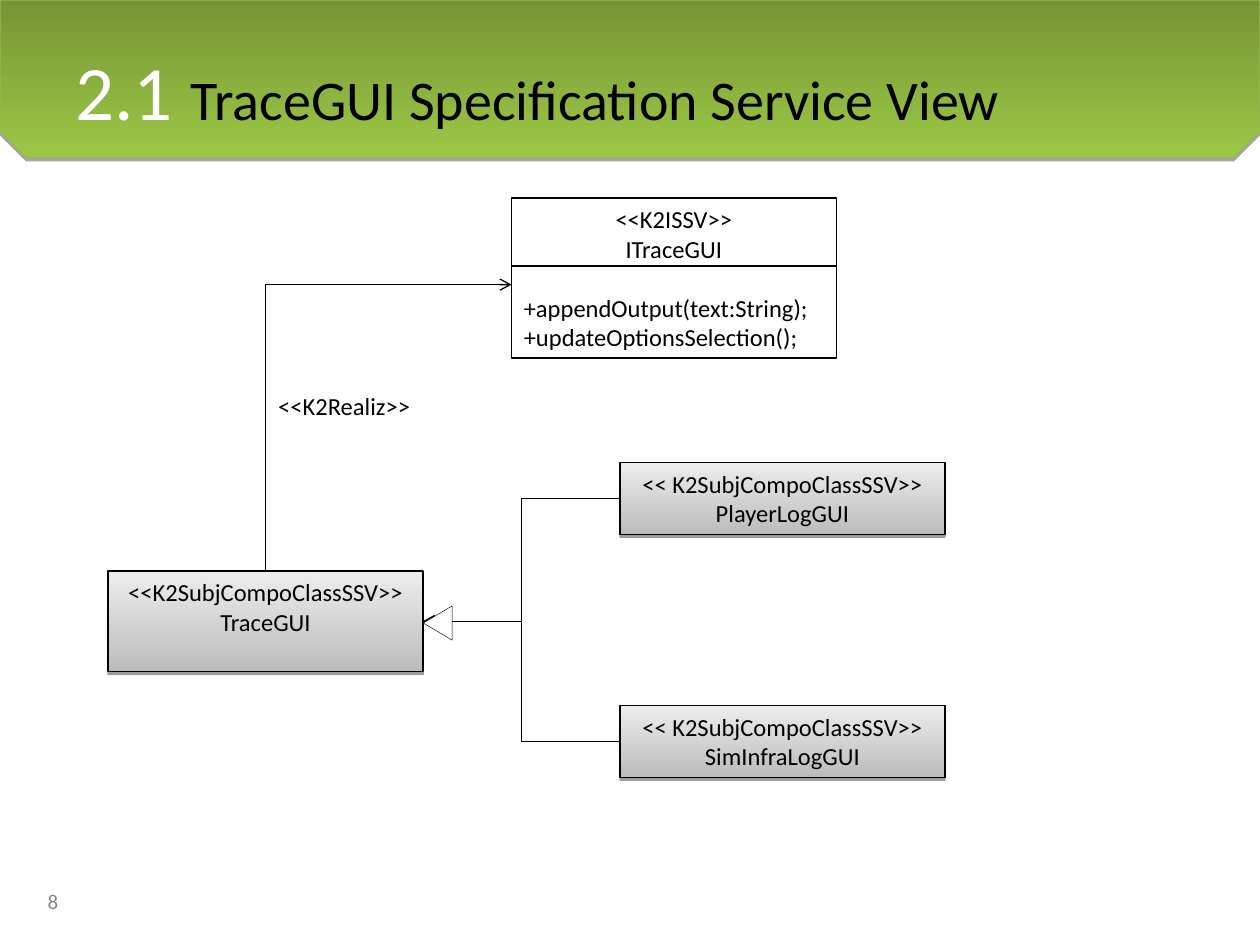
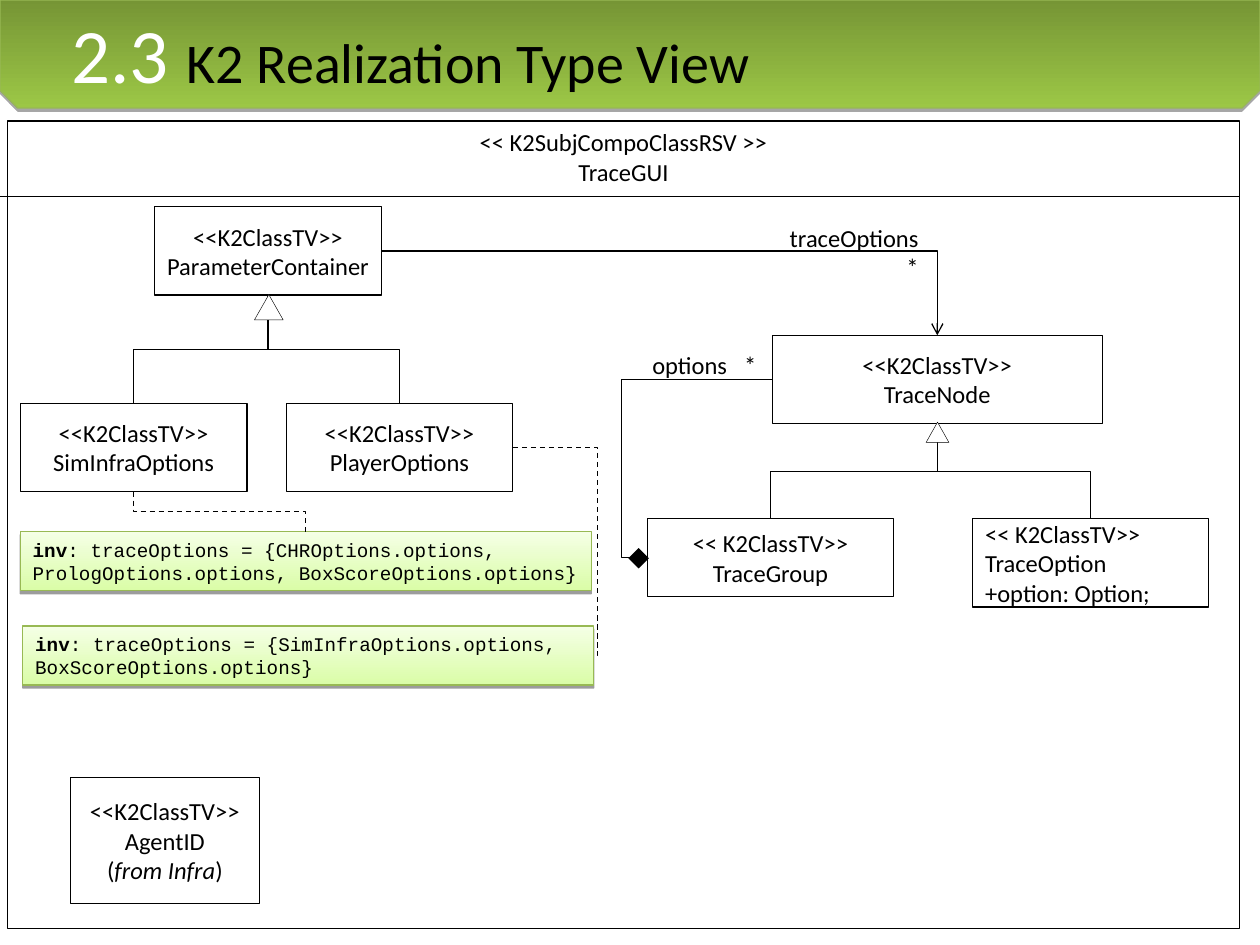
"""Build two slides of UML class views for the TraceGUI component."""
from dataclasses import dataclass
from typing import NamedTuple, Optional

from lxml import etree
from pptx import Presentation
from pptx import util as u
from pptx.dml.color import RGBColor
from pptx.enum import dml, shapes, text
from pptx.oxml.ns import qn

BLACK, WHITE, GREY = "000000", "FFFFFF", "898989"
SANS, MONO = "Calibri", "Courier New"
LEFT, MID, RIGHT = text.PP_ALIGN.LEFT, text.PP_ALIGN.CENTER, text.PP_ALIGN.RIGHT
TOP, CENTRE = text.MSO_ANCHOR.TOP, text.MSO_ANCHOR.MIDDLE
KIND = shapes.MSO_SHAPE
UP, WEST, DOWN, EAST = range(4)


class Area(NamedTuple):
    """Left, top, width and height in centimetres."""
    x: float
    y: float
    w: float
    h: float

    def side(self, n: int) -> tuple[float, float]:
        """Give the middle of one side."""
        fx, fy = ((0.5, 0), (0, 0.5), (0.5, 1), (1, 0.5))[n]
        return self.x + fx * self.w, self.y + fy * self.h


class Look(NamedTuple):
    """Fill from top to bottom, line colour and shadow strength."""
    high: Optional[str] = None
    low: Optional[str] = None
    edge: Optional[str] = BLACK
    shade: int = 0
    width: float = 0.75


CLEAR = Look()
PAPER = Look(WHITE)
STEEL = Look("EDEDED", "BCBCBC", shade=38)
LIME = Look("F5FFE6", "DAFDA7", "98B954", 38)
GREEN = Look("769535", "9CC746", "98B954", 35)
HOLLOW = Look(WHITE, width=0.25)
SOLID = Look(BLACK, edge=None)


@dataclass
class Box:
    """A rectangle with centred lines of text."""
    lines: str
    area: Area
    look: Look = PAPER
    align: int = MID
    anchor: int = CENTRE
    wrap: bool = True
    size: float = 14
    face: str = SANS


@dataclass
class Link:
    """A bent line; upright ones leave vertically, and corner ones turn once."""
    start: tuple[float, float]
    end: tuple[float, float]
    upright: bool = False
    corner: bool = False
    arrow: bool = False
    dash: bool = False
    bend: float = 0.5


def paint(hue: str) -> RGBColor:
    """Turn a hex string into a colour."""
    return RGBColor.from_string(hue)


def span(area: Area) -> list[u.Cm]:
    """Turn an area into lengths."""
    return [u.Cm(v) for v in area]


def style(run, size: float, hue: str = BLACK, face: str = SANS) -> None:
    """Set the font of a run."""
    run.font.size, run.font.name = u.Pt(size), face
    run.font.color.rgb = paint(hue)


def extend(par, words: str, size: float, face: str = SANS):
    """Add a black run to a paragraph."""
    run = par.add_run()
    run.text = words
    style(run, size, face=face)
    return run


def write(frame, words: str, size: float = 14, hue: str = BLACK, face: str = SANS,
          align: int = LEFT, anchor: int = TOP, wrap: bool = True) -> None:
    """Fill a text frame and format every line."""
    frame.text = words
    frame.word_wrap, frame.vertical_anchor = wrap, anchor
    frame.auto_size = text.MSO_AUTO_SIZE.NONE
    for par in frame.paragraphs:
        par.alignment = align
        for run in par.runs:
            style(run, size, hue, face)


def shape(slide, kind: int, area: Area, look: Look):
    """Draw a preset shape with a look."""
    item = slide.shapes.add_shape(kind, *span(area))
    item.shadow.inherit = False
    if look.low:
        item.fill.gradient()
        item.fill.gradient_angle = 270
        for stop, hue in zip(item.fill.gradient_stops, (look.high, look.low)):
            stop.color.rgb = paint(hue)
    elif look.high:
        item.fill.solid()
        item.fill.fore_color.rgb = paint(look.high)
    else:
        item.fill.background()
    if look.edge:
        item.line.color.rgb, item.line.width = paint(look.edge), u.Pt(look.width)
    else:
        item.line.fill.background()
    if look.shade:
        effects = item._element.spPr.find(qn("a:effectLst"))
        cast = etree.SubElement(effects, qn("a:outerShdw"), blurRad="0", dist="21600",
                                dir="5400000", rotWithShape="0")
        tone = etree.SubElement(cast, qn("a:srgbClr"), val=BLACK)
        etree.SubElement(tone, qn("a:alpha"), val=str(look.shade * 1000))
    return item


def draw(slide, box: Box):
    """Draw a box and return its text frame."""
    frame = shape(slide, KIND.RECTANGLE, box.area, box.look).text_frame
    write(frame, box.lines, box.size, face=box.face, align=box.align,
          anchor=box.anchor, wrap=box.wrap)
    return frame


def label(slide, words: str, area: Area, **form):
    """Add a free text label."""
    frame = slide.shapes.add_textbox(*span(area)).text_frame
    write(frame, words, **form)
    return frame


def ink(wire) -> None:
    """Give a connector a thin black line and no shadow."""
    wire.line.color.rgb, wire.line.width = paint(BLACK), u.Pt(0.75)
    etree.SubElement(wire._element.spPr, qn("a:effectLst"))


def rule(slide, left: float, right: float, y: float) -> None:
    """Draw a level line."""
    ends = [u.Cm(v) for v in (left, y, right, y)]
    ink(slide.shapes.add_connector(shapes.MSO_CONNECTOR.STRAIGHT, *ends))


def join(slide, link: Link) -> None:
    """Draw a bent connector."""
    (x1, y1), (x2, y2) = link.start, link.end
    ends = [u.Cm(v) for v in (x1, y1, x2, y2)]
    wire = slide.shapes.add_connector(shapes.MSO_CONNECTOR.ELBOW, *ends)
    props = wire._element.spPr
    form = props.find(qn("a:prstGeom"))
    if link.upright:
        wide, tall = abs(x2 - x1), abs(y2 - y1)
        wire.left = u.Cm((x1 + x2 - tall) / 2)
        wire.top = u.Cm((y1 + y2 - wide) / 2)
        wire.width, wire.height = u.Cm(tall), u.Cm(wide)
        rise, slant = y2 < y1, y2 > y1 and x2 > x1
        frame = props.find(qn("a:xfrm"))
        frame.set("rot", str((270 if slant else 90) * 60000))
        frame.set("flipH", str(int(rise or slant)))
        frame.set("flipV", str(int(rise)))
    if link.corner:
        form.set("prst", "bentConnector2")
    else:
        guides = form.find(qn("a:avLst"))
        if guides is None:
            guides = etree.SubElement(form, qn("a:avLst"))
        etree.SubElement(guides, qn("a:gd"), name="adj1",
                         fmla=f"val {round(link.bend * 100000)}")
    ink(wire)
    if link.dash:
        wire.line.dash_style = dml.MSO_LINE.DASH
    if link.arrow:
        etree.SubElement(props.find(qn("a:ln")), qn("a:tailEnd"), type="arrow")


def start(deck, number: str, name: str, area: Area, depth: float):
    """Add a slide with its green band and title."""
    slide = deck.slides.add_slide(deck.slide_layouts[5])
    band = shape(slide, KIND.SNIP_2_SAME_RECTANGLE, Area(0, 0, 25.4, depth), GREEN)
    band.adjustments[0], band.adjustments[1] = 0, 0.1667
    title = slide.shapes.title
    title.left, title.top, title.width, title.height = span(area)
    write(title.text_frame, number + " ", 44, WHITE)
    extend(title.text_frame.paragraphs[0], name, 32)
    band._element.addnext(title._element)
    return slide


def service(deck) -> None:
    """Build the service view."""
    slide = start(deck, "2.1", "TraceGUI Specification Service View",
                  Area(1.27, 0.76, 22.86, 3.18), 3.18)
    face = Area(10.31, 3.99, 6.55, 3.23)
    base = Area(2.18, 11.51, 6.35, 2.03)
    frame = draw(slide, Box("<<K2ISSV>>\nITraceGUI\n+appendOutput(text:String);\n"
                            "+updateOptionsSelection();", face, CLEAR, anchor=TOP))
    for par in frame.paragraphs[2:]:
        par.alignment = LEFT
    frame.paragraphs[2].space_before = u.Pt(17)
    rule(slide, face.x, face.x + face.w, 5.36)
    draw(slide, Box("<<K2SubjCompoClassSSV>>\nTraceGUI", base, STEEL, anchor=TOP))
    label(slide, "<<K2Realiz>>", Area(5.36, 7.75, 3.18, 0.86), wrap=False)
    join(slide, Link(base.side(UP), (face.x, 5.74), upright=True, corner=True, arrow=True))
    for name, y in (("PlayerLogGUI", 9.32), ("SimInfraLogGUI", 14.22)):
        area = Area(12.5, y, 6.55, 1.45)
        draw(slide, Box("<< K2SubjCompoClassSSV>>\n" + name, area, STEEL))
        join(slide, Link(area.side(WEST), base.side(EAST), arrow=True))
    shape(slide, KIND.ISOSCELES_TRIANGLE, Area(8.48, 12.27, 0.69, 0.58), HOLLOW).rotation = 270
    label(slide, "8", Area(0.71, 17.65, 5.92, 1.02), size=12, hue=GREY, anchor=CENTRE)


def types(deck) -> None:
    """Build the realization type view."""
    slide = start(deck, "2.3", "K2 Realization Type View", Area(1.19, 0, 24.21, 2.18), 2.18)
    rule(slide, 0, 24.99, 3.96)
    draw(slide, Box("<< K2SubjCompoClassRSV >>\nTraceGUI",
                    Area(0.15, 2.44, 24.84, 16.28), CLEAR, anchor=TOP))
    agent = draw(slide, Box("<<K2ClassTV>>\nAgentID\n(", Area(1.42, 15.67, 3.81, 2.54)))
    extend(agent.paragraphs[2], "from Infra", 14).font.italic = True
    extend(agent.paragraphs[2], ")", 14)

    holder = Area(3.12, 4.17, 4.57, 1.78)
    infra, player = (holder._replace(x=x, y=8.13) for x in (0.41, 5.77))
    node = Area(15.57, 6.76, 6.65, 1.78)
    group = Area(13.06, 10.46, 4.95, 1.57)
    option = Area(19.61, 10.46, 4.75, 1.78)
    tag = "<<K2ClassTV>>\n"
    for box in (Box(tag + "ParameterContainer", holder, wrap=False),
                Box(tag + "SimInfraOptions", infra),
                Box(tag + "PlayerOptions", player),
                Box(tag + "TraceNode", node),
                Box("<< K2ClassTV>>\nTraceGroup", group),
                Box("<< K2ClassTV>>\nTraceOption\n+option: Option;", option, align=LEFT)):
        draw(slide, box)

    notes = Area(0.41, 10.72, 11.51, 1.19), Area(0.46, 12.62, 11.51, 1.19)
    rules = ("CHROptions.options, PrologOptions.options, BoxScoreOptions.options",
             "SimInfraOptions.options, BoxScoreOptions.options")
    for area, names in zip(notes, rules):
        par = draw(slide, Box("inv", area, LIME, LEFT, size=11, face=MONO)).paragraphs[0]
        par.runs[0].font.bold = True
        extend(par, f": traceOptions = {{{names}}}", 11, MONO)

    for link in (Link(holder.side(DOWN), infra.side(UP), upright=True),
                 Link(holder.side(DOWN), player.side(UP), upright=True),
                 Link(node.side(DOWN), option.side(UP), upright=True),
                 Link(group.side(UP), node.side(DOWN), upright=True, arrow=True),
                 Link(holder.side(EAST), node.side(UP), corner=True, arrow=True),
                 Link(group.side(WEST), node.side(WEST), bend=-0.21),
                 Link(infra.side(DOWN), notes[0].side(UP), upright=True, dash=True),
                 Link(player.side(EAST), notes[1].side(EAST), dash=True, bend=1.05)):
        join(slide, link)
    shape(slide, KIND.ISOSCELES_TRIANGLE, Area(5.13, 5.94, 0.58, 0.51), HOLLOW)
    shape(slide, KIND.ISOSCELES_TRIANGLE, Area(18.67, 8.51, 0.46, 0.41), HOLLOW)
    shape(slide, KIND.DIAMOND, Area(12.67, 11.05, 0.41, 0.41), SOLID)

    label(slide, "traceOptions\n*", Area(15.65, 4.37, 3.12, 1.45), align=RIGHT, wrap=False)
    many = label(slide, "options\t*", Area(12.9, 6.93, 2.59, 0.86), wrap=False)
    stops = etree.SubElement(many.paragraphs[0]._p.get_or_add_pPr(), qn("a:tabLst"))
    etree.SubElement(stops, qn("a:tab"), pos=str(u.Cm(1.85)), algn="l")


def main() -> None:
    """Build and save the deck."""
    deck = Presentation()
    deck.slide_width, deck.slide_height = u.Cm(25.4), u.Cm(19.05)
    service(deck)
    types(deck)
    deck.save("out.pptx")


if __name__ == "__main__":
    main()
